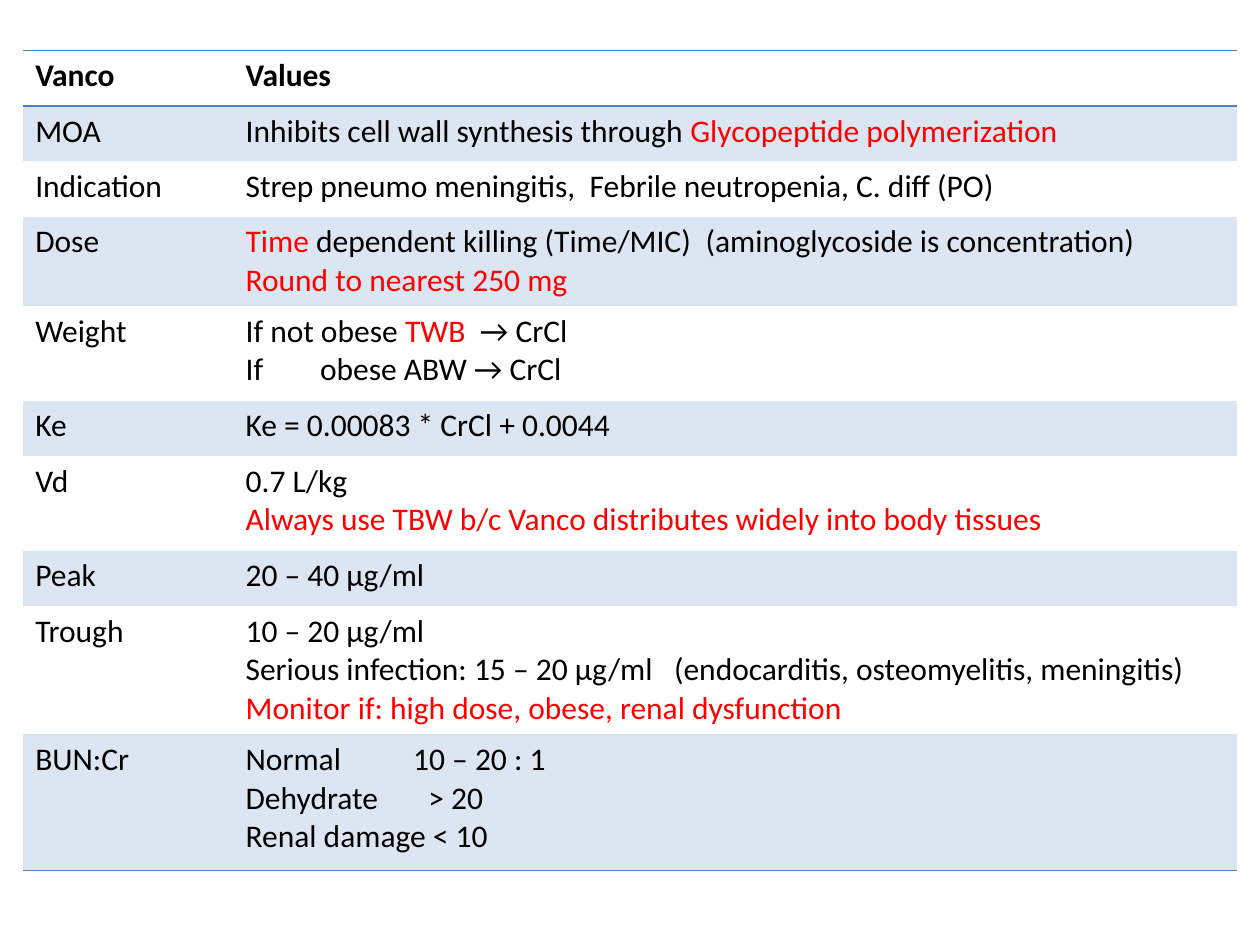
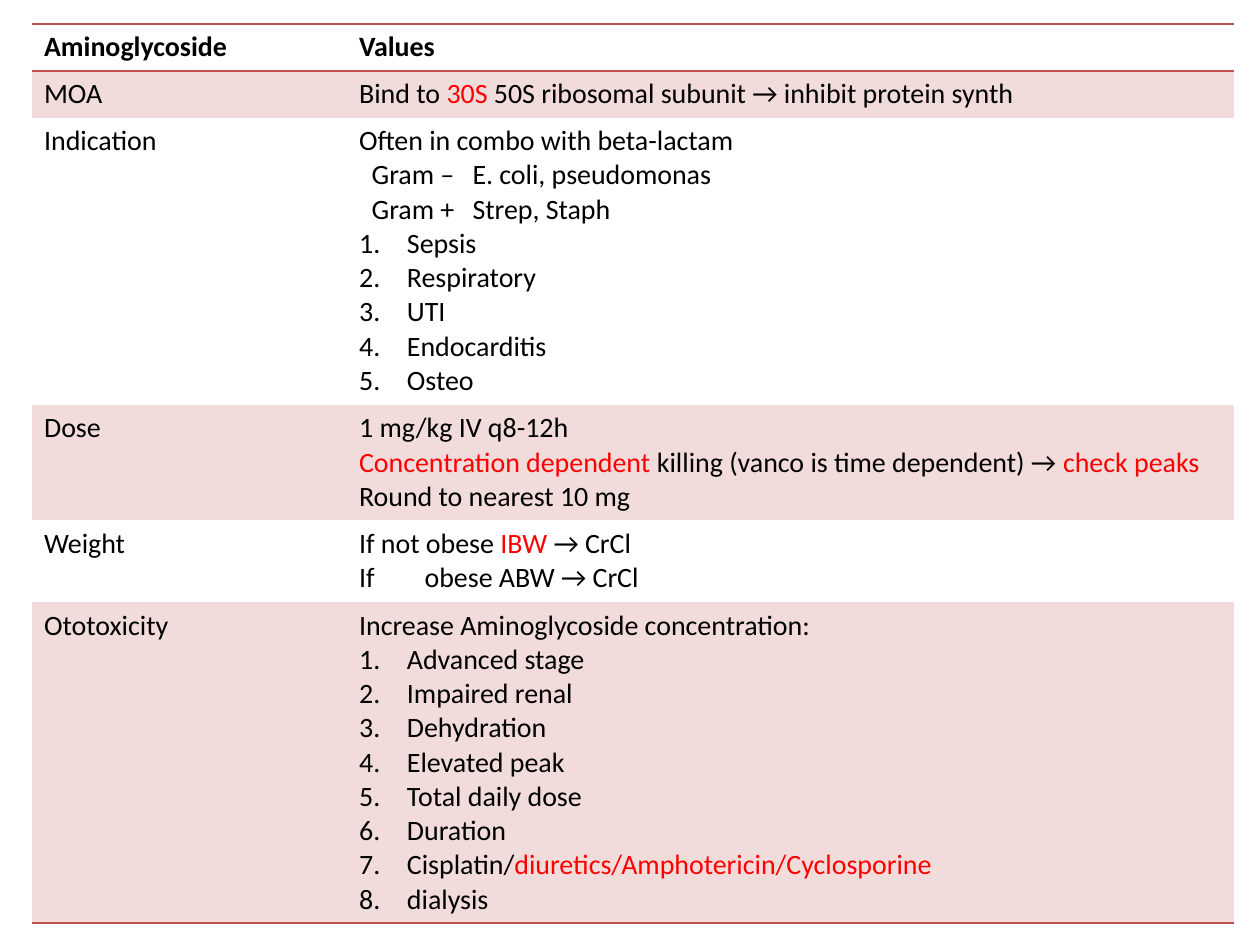
from lxml.etree import SubElement
from pptx import Presentation
from pptx.dml.color import RGBColor
from pptx.oxml import parse_xml
from pptx.oxml.ns import nsdecls, qn
from pptx.util import Inches, Pt

# Shared look
FONT = "Calibri"
BLACK = RGBColor(0x00, 0x00, 0x00)
RED = RGBColor(0xFF, 0x00, 0x00)
BLUE_LINE = RGBColor(0x4F, 0x81, 0xBD)
BLUE_BAND = RGBColor(0xDC, 0xE6, 0xF2)
ROSE_LINE = RGBColor(0xC0, 0x50, 0x4D)
ROSE_BAND = RGBColor(0xF2, 0xDC, 0xDB)
PLAIN_STYLE = "{2D5ABB26-0587-4C30-8999-92F81FD0307C}"
HANG = Inches(0.38)

# Rows are (label, height, lines). In a line, [..] is red and a leading #
# makes a numbered item; a tuple holds a text and its tab stops in inches.
VANCO = [
    ("Vanco", 0.44, ["Values"]),
    ("MOA", 0.44, ["Inhibits cell wall synthesis through [Glycopeptide polymerization]"]),
    ("Indication", 0.44, [
        ("Strep pneumo meningitis,\tFebrile neutropenia, C. diff (PO)", 2.73)]),
    ("Dose", 0.71, [
        ("[Time] dependent killing (Time/MIC)\t(aminoglycoside is concentration)", 3.65),
        "[Round to nearest 250 mg]"]),
    ("Weight", 0.75, [
        ("If not obese [TWB]\t→ CrCl", 1.86),
        ("If\tobese ABW → CrCl", 0.59)]),
    ("Ke", 0.44, ["Ke = 0.00083 * CrCl + 0.0044"]),
    ("Vd", 0.75, [
        "0.7 L/kg",
        "[Always use TBW b/c Vanco distributes widely into body tissues]"]),
    ("Peak", 0.44, ["20 – 40 µg/ml"]),
    ("Trough", 1.02, [
        "10 – 20 µg/ml",
        ("Serious infection: 15 – 20 µg/ml\t(endocarditis, osteomyelitis, meningitis)", 3.4),
        "[Monitor if: high dose, obese, renal dysfunction]"]),
    ("BUN:Cr", 1.08, [
        ("Normal\t10 – 20 : 1", 1.33),
        ("Dehydrate\t> 20", 1.45),
        "Renal damage < 10"]),
]

AMINO = [
    ("Aminoglycoside", 0.37, ["Values"]),
    ("MOA", 0.37, ["Bind to [30S] 50S ribosomal subunit → inhibit protein synth"]),
    ("Indication", 2.28, [
        "Often in combo with beta-lactam",
        ("\tGram –\tE. coli, pseudomonas", 0.1, 0.9),
        ("\tGram +\tStrep, Staph", 0.1, 0.9),
        "#Sepsis", "#Respiratory", "#UTI", "#Endocarditis", "#Osteo"]),
    ("Dose", 0.91, [
        "1 mg/kg IV q8-12h",
        "[Concentration dependent] killing (vanco is time dependent) → [check peaks]",
        "Round to nearest 10 mg"]),
    ("Weight", 0.65, [
        "If not obese [IBW ]→ CrCl",
        ("If\tobese ABW → CrCl", 0.52)]),
    ("Ototoxicity", 2.54, [
        "Increase Aminoglycoside concentration:",
        "#Advanced stage", "#Impaired renal", "#Dehydration", "#Elevated peak",
        "#Total daily dose", "#Duration",
        "#Cisplatin/[diuretics/Amphotericin/Cyclosporine]", "#dialysis"]),
]


def set_number(para):
    """Make a paragraph a numbered item with a hanging indent."""
    props = para._p.get_or_add_pPr()
    props.set("marL", str(HANG))
    props.set("indent", str(-HANG))
    SubElement(props, qn("a:buFont"), typeface="+mj-lt")
    SubElement(props, qn("a:buAutoNum"), type="arabicPeriod")


def set_tabs(para, stops):
    tabs = SubElement(para._p.get_or_add_pPr(), qn("a:tabLst"))
    for stop in stops:
        SubElement(tabs, qn("a:tab"), pos=str(Inches(stop)), algn="l")


def write_line(para, line, size, bold):
    text, *stops = (line,) if isinstance(line, str) else line
    if text.startswith("#"):
        set_number(para)
    if stops:
        set_tabs(para, stops)
    parts = text.removeprefix("#").replace("]", "[").split("[")
    for i, part in enumerate(parts):
        if part:
            run = para.add_run()
            run.text = part
            font = run.font
            font.name, font.size, font.bold = FONT, Pt(size), bold
            font.color.rgb = RED if i % 2 else BLACK


def fill_cell(cell, lines, size, bold, band):
    frame = cell.text_frame
    for i, line in enumerate(lines):
        para = frame.add_paragraph() if i else frame.paragraphs[0]
        write_line(para, line, size, bold)
    if band:
        cell.fill.solid()
        cell.fill.fore_color.rgb = band
    else:
        cell.fill.background()


def add_rules(cell, sides, color):
    """Draw one-point borders on the given sides, in schema order."""
    props = cell._tc.get_or_add_tcPr()
    for i, side in enumerate(sides):
        props.insert(i, parse_xml(
            f'<a:ln{side} {nsdecls("a")} w="{Pt(1)}"><a:solidFill>'
            f'<a:srgbClr val="{color}"/></a:solidFill></a:ln{side}>'))


def add_grid(deck, rows, left, top, widths, size, line, band):
    """Add a slide with one banded drug table."""
    slide = deck.slides.add_slide(deck.slide_layouts[6])
    high = sum(row[1] for row in rows)
    table = slide.shapes.add_table(
        len(rows), len(widths), Inches(left), Inches(top),
        Inches(sum(widths)), Inches(high)).table
    table._tbl.tblPr.find(qn("a:tableStyleId")).text = PLAIN_STYLE
    table.horz_banding = False
    for col, width in zip(table.columns, widths):
        col.width = Inches(width)
    last = len(rows) - 1
    for r, (label, height, lines) in enumerate(rows):
        table.rows[r].height = Inches(height)
        sides = {0: "TB", last: "B"}.get(r, "")
        for c, content in enumerate(([label], lines)):
            cell = table.cell(r, c)
            fill_cell(cell, content, size, r == 0, band if r % 2 else None)
            add_rules(cell, sides, line)


def main():
    deck = Presentation()
    deck.slide_width, deck.slide_height = Inches(10), Inches(7.5)
    add_grid(deck, VANCO, 0.18, 0.4, (1.67, 7.97), 18, BLUE_LINE, BLUE_BAND)
    add_grid(deck, AMINO, 0.25, 0.19, (2.5, 7.04), 16, ROSE_LINE, ROSE_BAND)
    deck.save("out.pptx")


if __name__ == "__main__":
    main()
